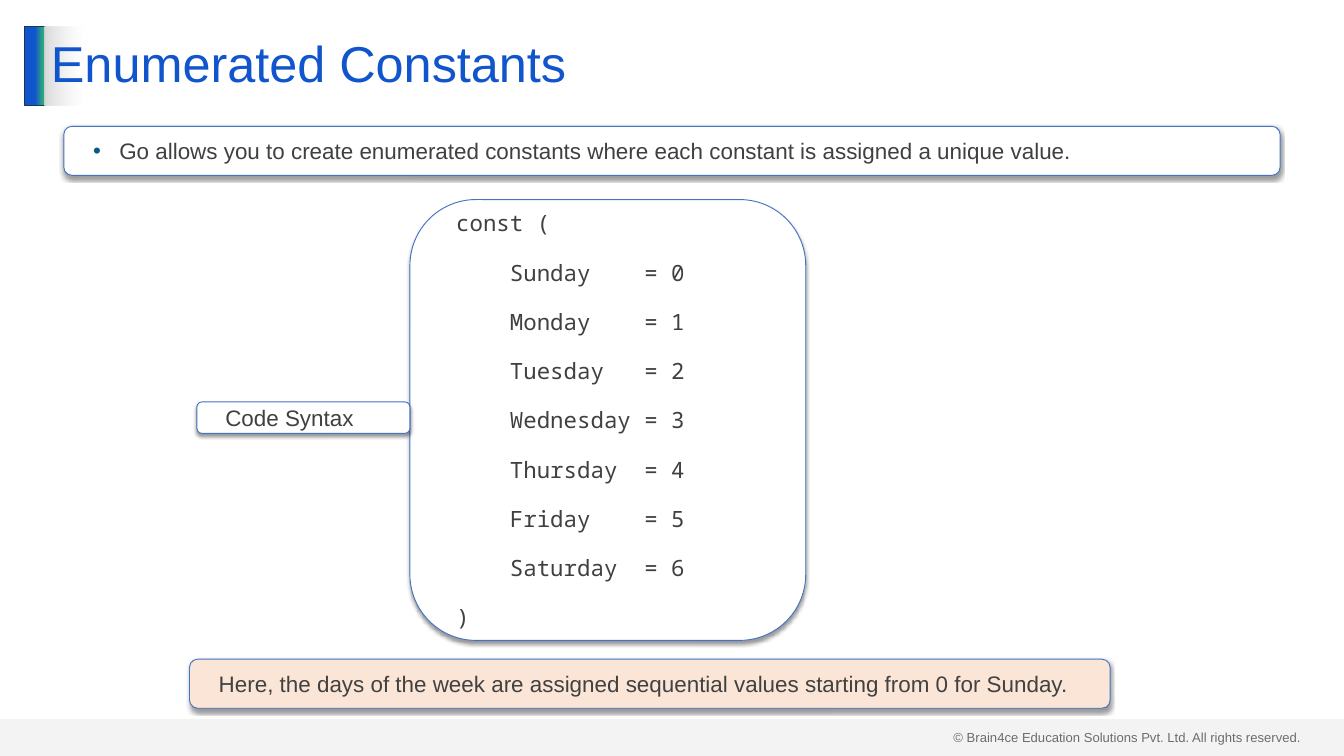
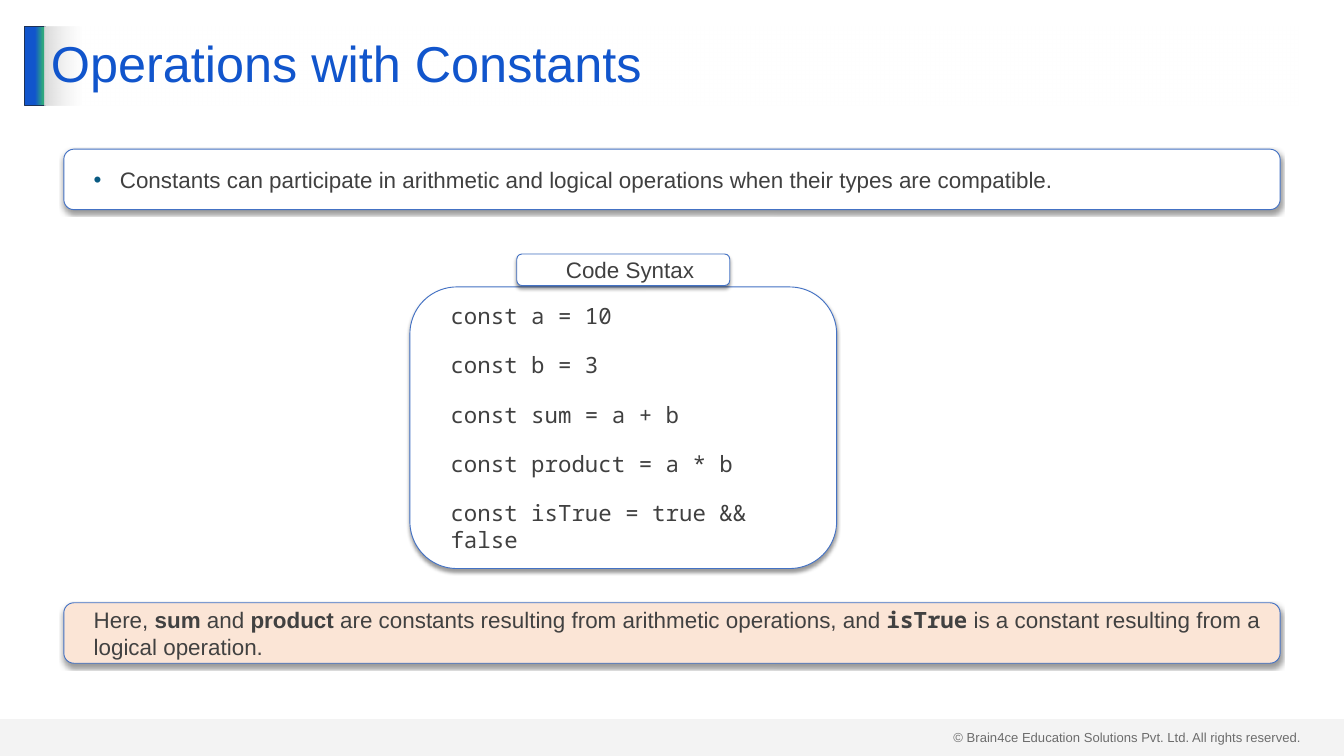
"""Build two slides about constants in Go."""
import pptx
import pptx.util
import pptx.dml.color
import pptx.enum.shapes
import pptx.enum.text
import pptx.oxml.ns
from lxml import etree

Inches = pptx.util.Inches
Pt = pptx.util.Pt
qn = pptx.oxml.ns.qn
Shape = pptx.enum.shapes.MSO_SHAPE
Align = pptx.enum.text.PP_ALIGN
Anchor = pptx.enum.text.MSO_ANCHOR

COLORS = {
    "title": "1155CC", "green": "2EA87D", "navy": "1E3256", "outline": "4472C4",
    "text": "404040", "note_text": "414141", "bullet": "095A82",
    "white": "FFFFFF", "peach": "FBE5D6", "gray": "D9D9D9", "shadow": "000000",
}
SANS, MONO = "Arial", "Noto Sans Mono"
COPYRIGHT = "© Brain4ce Education Solutions Pvt. Ltd. All rights reserved."
WIDE_LEFT, WIDE_WIDTH, CODE_LEFT = 0.95, 18.1, 6.1
LABEL_SIZE = (3.17, 0.47)


def rgb(name):
    """Return the named colour."""
    return pptx.dml.color.RGBColor.from_string(COLORS[name])


def apply(target, values):
    """Set attributes of an object from a dict."""
    for name, value in values.items():
        setattr(target, name, value)


def add_color(parent, name, opacity=100):
    """Append a colour element with an optional opacity."""
    color = etree.SubElement(parent, qn("a:srgbClr"), val=COLORS[name])
    if opacity < 100:
        etree.SubElement(color, qn("a:alpha"), val=str(opacity * 1000))


class Lesson:
    """Holds the deck style and the current page."""

    def __init__(self):
        """Start an empty deck."""
        self.deck = pptx.Presentation()
        apply(self.deck, {"slide_width": Inches(20), "slide_height": Inches(11.25)})
        self.page = None

    def start_page(self, title):
        """Add a page with its footer, accent bar and title."""
        self.page = self.deck.slides.add_slide(self.deck.slide_layouts[6])
        footer = self.page.shapes.add_textbox(*map(Inches, (14.09, 10.8, 5.41, 0.34)))
        apply(footer.text_frame, {"word_wrap": True, "margin_right": 0})
        self.add_spans(footer.text_frame.paragraphs[0], [COPYRIGHT], size=14)
        accent = self.shape(Shape.RECTANGLE, (0.37, 0.39, 0.3, 1.18), line="navy")
        self.gradient(accent, [(51, "title", 100), (90, "green", 100), (100, "green", 100)])
        band = self.shape(Shape.RECTANGLE, (0, 10.7, 20, 0.55), fill="gray")
        color = band._element.spPr.find(qn("a:solidFill"))[0]
        etree.SubElement(color, qn("a:alpha"), val="29000")
        heading = self.shape(Shape.RECTANGLE, (0.66, 0.39, 18.67, 1.18))
        self.gradient(heading, [(0, "gray", 100), (0, "gray", 100), (3, "white", 50)])
        heading.text_frame.vertical_anchor = Anchor.MIDDLE
        para = heading.text_frame.paragraphs[0]
        apply(para, {"alignment": Align.LEFT, "line_spacing": 0.9})
        self.add_spans(para, [title], size=54, color="title")

    def shape(self, kind, place, fill=None, line=None):
        """Add a preset shape without a shadow."""
        box = self.page.shapes.add_shape(kind, *map(Inches, place))
        if fill:
            box.fill.solid()
            box.fill.fore_color.rgb = rgb(fill)
        if line:
            box.line.color.rgb = rgb(line)
            box.line.width = Pt(1)
        else:
            box.line.fill.background()
        box.shadow.inherit = False
        return box

    def gradient(self, box, stops):
        """Fill a shape with a left-to-right gradient."""
        box.fill.gradient()
        box.fill.gradient_angle = 0
        stop_list = box._element.spPr.find(qn("a:gradFill")).find(qn("a:gsLst"))
        for old in list(stop_list):
            stop_list.remove(old)
        for position, name, opacity in stops:
            stop = etree.SubElement(stop_list, qn("a:gs"), pos=str(position * 1000))
            add_color(stop, name, opacity)

    def add_spans(self, para, spans, size=24, font=SANS, color="text"):
        """Add spans, each plain text or a (text, font) pair in bold."""
        for item in spans:
            text, face, bold = (item, font, False) if isinstance(item, str) else (*item, True)
            span = para.add_run()
            span.text = text
            apply(span.font, {"name": face, "size": Pt(size), "bold": bold})
            span.font.color.rgb = rgb(color)

    def card(self, place, lines, fill="white", bullet=False, align=Align.LEFT, **style):
        """Add a rounded, shadowed card with one paragraph per line."""
        box = self.shape(Shape.ROUNDED_RECTANGLE, place, fill, "outline")
        effects = box._element.spPr.find(qn("a:effectLst"))
        shadow = etree.SubElement(effects, qn("a:outerShdw"), blurRad=str(Pt(4)),
                                  dist=str(Pt(3)), dir="5400000", rotWithShape="0")
        add_color(shadow, "shadow", 40)
        frame = box.text_frame
        apply(frame, {"word_wrap": True, "vertical_anchor": Anchor.MIDDLE,
                      "margin_left": Inches(0.2), "margin_right": Inches(0.2),
                      "margin_top": Inches(0.1), "margin_bottom": Inches(0.1)})
        for index, spans in enumerate(lines):
            para = frame.add_paragraph() if index else frame.paragraphs[0]
            self.indent(para, bullet)
            last = index == len(lines) - 1
            apply(para, {"alignment": align, "space_before": Pt(12 if index else 0),
                         "space_after": Pt(0 if last else 12)})
            self.add_spans(para, spans, **style)

    def indent(self, para, bullet):
        """Indent a paragraph and give it a bullet if wanted."""
        left, hanging = (0.59, -0.39) if bullet else (0.2, 0)
        properties = para._p.get_or_add_pPr()
        properties.set("marL", str(Inches(left)))
        properties.set("indent", str(Inches(hanging)))
        if bullet:
            add_color(etree.SubElement(properties, qn("a:buClr")), "bullet")
            etree.SubElement(properties, qn("a:buFont"), typeface=SANS)
            etree.SubElement(properties, qn("a:buChar"), char="•")

    def point(self, top, height, text):
        """Add the bulleted statement card."""
        self.card((WIDE_LEFT, top, WIDE_WIDTH, height), [[text]], bullet=True)

    def code(self, top, width, height, lines):
        """Add the code card."""
        self.card((CODE_LEFT, top, width, height), [[line] for line in lines], font=MONO)

    def label(self, left, top, align=Align.LEFT):
        """Add the code label."""
        self.card((left, top, *LABEL_SIZE), [["Code Syntax"]], align=align)

    def note(self, place, spans):
        """Add the tinted explanation card."""
        self.card(place, [spans], fill="peach", color="note_text")


def main():
    """Build and save the deck."""
    lesson = Lesson()

    lesson.start_page("Enumerated Constants")
    lesson.point(1.88, 0.73, "Go allows you to create enumerated constants where each "
                 "constant is assigned a unique value.")
    days = ["Sunday", "Monday", "Tuesday", "Wednesday", "Thursday", "Friday", "Saturday"]
    day_lines = [f"    {day:<9} = {number}" for number, day in enumerate(days)]
    lesson.code(2.97, 5.89, 6.56, ["const (", *day_lines, ")"])
    lesson.label(2.93, 5.98)
    lesson.note((2.82, 9.81, 13.7, 0.73), [
        "Here, the days of the week are assigned sequential values starting from 0 for Sunday."])

    lesson.start_page("Operations with Constants")
    lesson.point(2.22, 0.9, "Constants can participate in arithmetic and logical operations "
                 "when their types are compatible.")
    lesson.code(4.27, 6.35, 4.19, [
        "const a = 10", "const b = 3", "const sum = a + b",
        "const product = a * b", "const isTrue = true && false"])
    lesson.label(7.69, 3.78, Align.CENTER)
    lesson.note((WIDE_LEFT, 8.97, WIDE_WIDTH, 0.9), [
        "Here, ", ("sum", SANS), " and ", ("product", SANS),
        " are constants resulting from arithmetic operations, and ", ("isTrue", MONO),
        " is a constant resulting from a logical operation."])

    lesson.deck.save("out.pptx")


if __name__ == "__main__":
    main()
